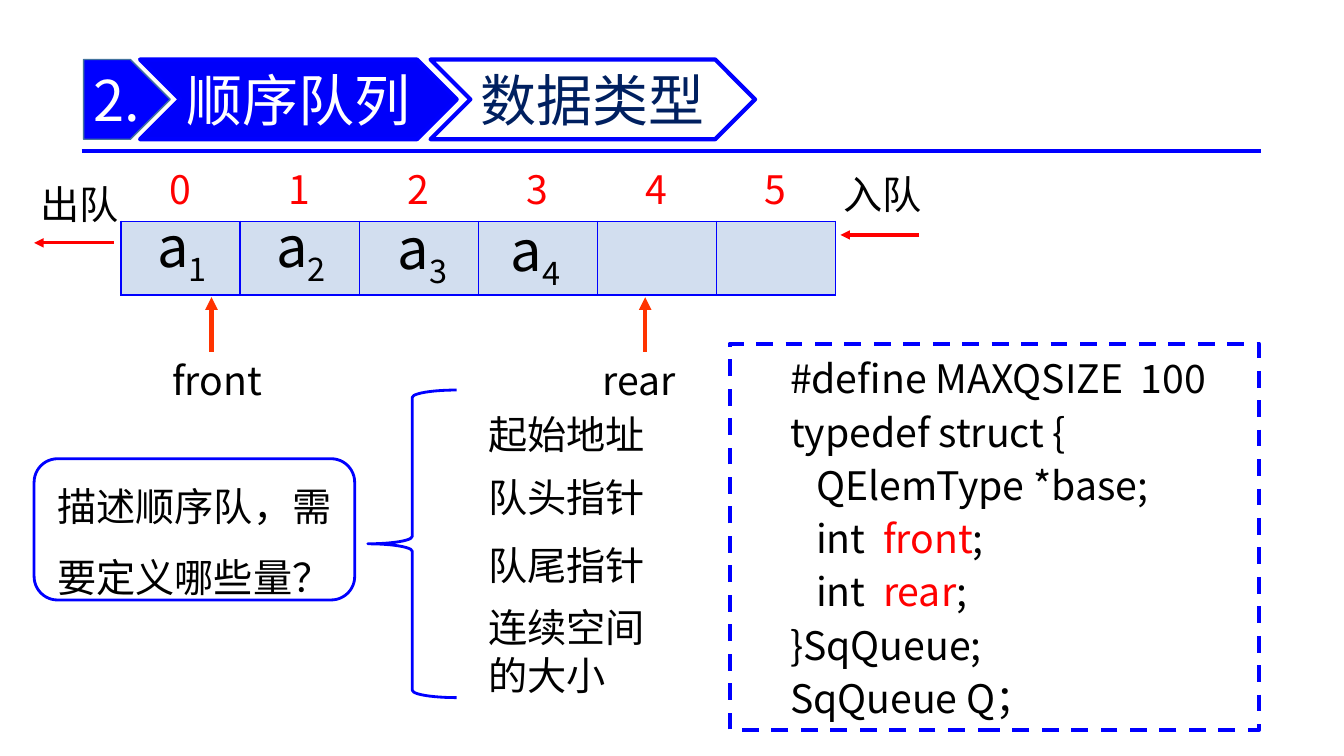
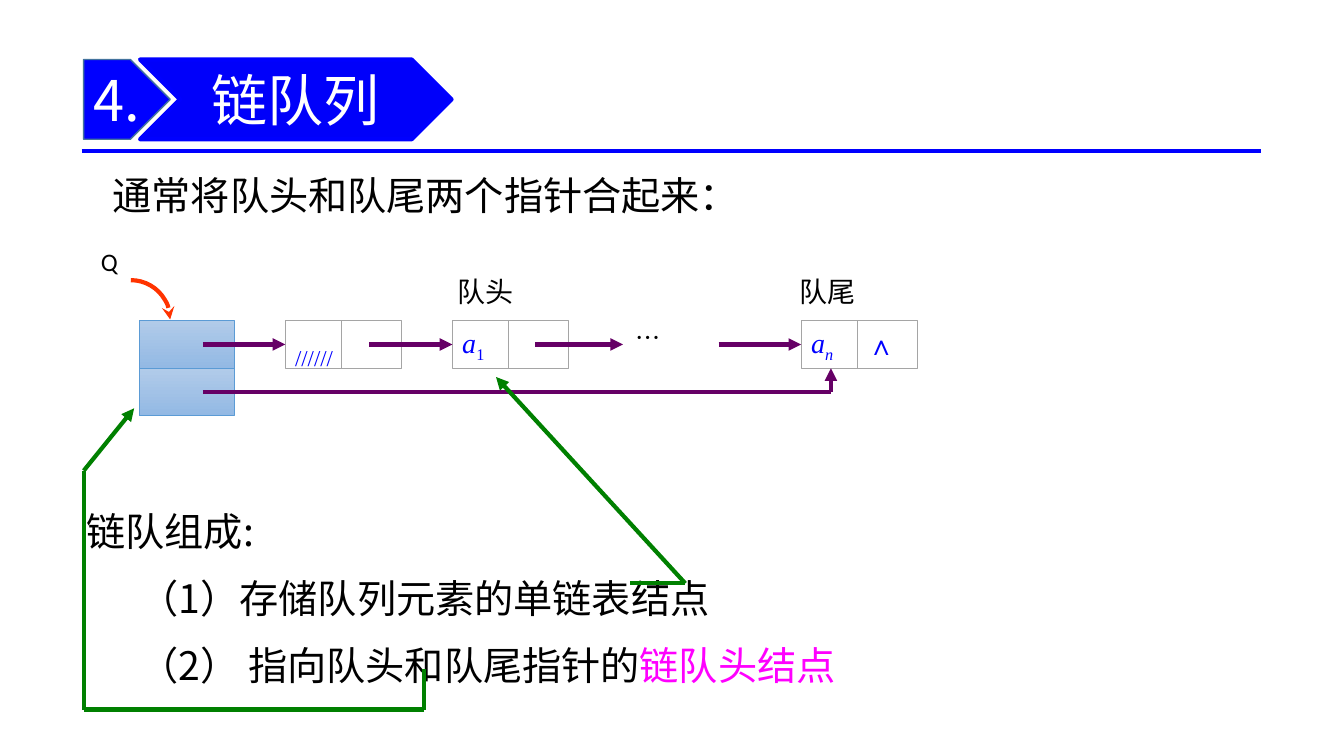
from lxml import etree
from pptx import Presentation
from pptx.dml.color import RGBColor
from pptx.enum.dml import MSO_LINE
from pptx.enum.shapes import MSO_CONNECTOR, MSO_SHAPE
from pptx.enum.text import MSO_ANCHOR, PP_ALIGN
from pptx.oxml.ns import qn
from pptx.util import Cm, Pt

BLACK = RGBColor(0x00, 0x00, 0x00)
WHITE = RGBColor(0xFF, 0xFF, 0xFF)
BLUE = RGBColor(0x00, 0x00, 0xFF)
DEEP = RGBColor(0x00, 0x00, 0xFA)
NAVY = RGBColor(0x00, 0x20, 0x60)
STEEL = RGBColor(0x43, 0x73, 0x9E)
PALE = RGBColor(0xD2, 0xDE, 0xEF)
SKY = RGBColor(0x5B, 0x9B, 0xD5)
LIGHT = RGBColor(0xB1, 0xCB, 0xE9)
MID = RGBColor(0x93, 0xB9, 0xE4)
GRAY = RGBColor(0xA5, 0xA5, 0xA5)
RED = RGBColor(0xFF, 0x00, 0x00)
ORANGE = RGBColor(0xFF, 0x33, 0x00)
PURPLE = RGBColor(0x66, 0x00, 0x66)
GREEN = RGBColor(0x00, 0x80, 0x00)
PINK = RGBColor(0xFF, 0x00, 0xFF)

NOTO, TIMES, CALIBRI = "Noto Sans CJK SC", "Times New Roman", "Calibri"

LEFT, CENTER = PP_ALIGN.LEFT, PP_ALIGN.CENTER
TOP, MIDDLE = MSO_ANCHOR.TOP, MSO_ANCHOR.MIDDLE
DASH = MSO_LINE.DASH
STRAIGHT = MSO_CONNECTOR.STRAIGHT
RECT, ROUND = MSO_SHAPE.RECTANGLE, MSO_SHAPE.ROUNDED_RECTANGLE
PLATE, CHEVRON = MSO_SHAPE.PENTAGON, MSO_SHAPE.CHEVRON
BRACE, ARC = MSO_SHAPE.LEFT_BRACE, MSO_SHAPE.ARC

SUB = -25000
NODE_Y, NODE_W, NODE_H = 8.08, 1.5, 1.2
NODE_MID = NODE_Y + NODE_H / 2


def style(run, size, color, font, base=0, italic=False):
    run.font.size = Pt(size)
    run.font.color.rgb = color
    run.font.name = font
    run.font.italic = italic
    props = run.font._element
    etree.SubElement(props, qn("a:ea"), typeface=font)
    if base:
        props.set("baseline", str(base))


def put(frame, *paras, size=28, color=BLACK, font=NOTO, align=LEFT,
        anchor=TOP, wrap=True, line=None, before=0, indents=()):
    """Fill a frame; a paragraph is a string or a list of strings and (string, format) pairs."""
    frame.word_wrap = wrap
    frame.vertical_anchor = anchor
    for i, runs in enumerate(paras):
        para = frame.add_paragraph() if i else frame.paragraphs[0]
        para.alignment = align
        para.space_before = Pt(before if i else 0)
        if line:
            para.line_spacing = line
        if indents:
            para._p.get_or_add_pPr().set("marL", str(Cm(indents[i])))
        for part in [runs] if isinstance(runs, str) else runs:
            words, extra = (part, {}) if isinstance(part, str) else part
            run = para.add_run()
            run.text = words
            style(run, **{"size": size, "color": color, "font": font, **extra})


def label(slide, x, y, w, h, *paras, **form):
    box = slide.shapes.add_textbox(Cm(x), Cm(y), Cm(w), Cm(h))
    put(box.text_frame, *paras, **form)


def shape(slide, kind, x, y, w, h, fill=None, line=BLUE, width=3):
    item = slide.shapes.add_shape(kind, Cm(x), Cm(y), Cm(w), Cm(h))
    item.shadow.inherit = False
    if fill is None:
        item.fill.background()
    else:
        item.fill.solid()
        item.fill.fore_color.rgb = fill
    item.line.color.rgb = line
    item.line.width = Pt(width)
    return item


def tip(item, kind="triangle"):
    """Put an arrowhead at the end of a line."""
    etree.SubElement(item.element.spPr.find(qn("a:ln")), qn("a:tailEnd"), type=kind)


def trail(slide, points, color, width=3, arrow=True, goal=None):
    """Draw straight lines through points; goal is the (shape, side) to join at the end."""
    for start, end in zip(points, points[1:]):
        link = slide.shapes.add_connector(STRAIGHT, *[Cm(v) for v in start + end])
        link.line.color.rgb = color
        link.line.width = Pt(width)
        etree.SubElement(link.element.spPr, qn("a:effectLst"))
    if arrow:
        tip(link)
    if goal:
        link.end_connect(*goal)


def header(slide, number, title, width, topic=None):
    trail(slide, [(2.06, 3.81), (31.78, 3.81)], BLUE, arrow=False)
    y, h = 1.5, 2.01
    plate = shape(slide, PLATE, 2.11, y, 2.18, h, BLUE, STEEL, 1)
    put(plate.text_frame, number, size=40, color=WHITE, anchor=MIDDLE, wrap=False)
    bands = [(3.53, width, DEEP, title, WHITE)]
    if topic:
        bands.append((10.85, 8.18, WHITE, topic, NAVY))
    for x, w, fill, words, color in bands:
        band = shape(slide, CHEVRON, x, y, w, h, fill)
        put(band.text_frame, words, size=40, color=color, align=CENTER,
            anchor=MIDDLE, wrap=False)


def border(cell, visible):
    """Draw the named sides (letters of LRTB) in blue and hide the others."""
    props = cell._tc.get_or_add_tcPr()
    for side in "LRTB":
        edge = etree.SubElement(props, qn("a:ln" + side), w=str(Pt(1)))
        if side in visible:
            fill = etree.SubElement(edge, qn("a:solidFill"))
            etree.SubElement(fill, qn("a:srgbClr"), val=str(BLUE))
        else:
            etree.SubElement(edge, qn("a:noFill"))


def array(slide, count):
    """Table of index numbers above empty storage cells."""
    col, rows = 3, (1.65, 1.86)
    table = slide.shapes.add_table(2, count, Cm(3.05), Cm(3.89),
                                   Cm(col * count), Cm(sum(rows))).table
    table.first_row = table.horz_banding = False
    for row, height in zip(table.rows, rows):
        row.height = Cm(height)
    for i in range(count):
        table.columns[i].width = Cm(col)
        index, store = table.cell(0, i), table.cell(1, i)
        border(index, "B")
        index.fill.background()
        index.vertical_anchor = MIDDLE
        put(index.text_frame, str(i), color=RED, align=CENTER)
        border(store, "LRTB")
        store.fill.solid()
        store.fill.fore_color.rgb = PALE


def node(slide, x, data, link=None, size=20):
    """Draw a list node of two fields and return the data field."""
    fields = []
    for left, words in ((x, data), (x + 1.42, link)):
        field = shape(slide, RECT, left, NODE_Y, NODE_W, NODE_H, WHITE, GRAY, 0.5)
        if words:
            put(field.text_frame, words, size=size, color=BLUE, font=TIMES,
                anchor=MIDDLE, wrap=False)
        fields.append(field)
    return fields[0]


def array_queue(slide):
    array(slide, 6)
    for words, x, y, start, end, level in (
            ("入队", 21, 4.17, 23.16, 21.18, 5.92),
            ("出队", 0.76, 4.42, 2.87, 0.86, 6.12)):
        trail(slide, [(start, level), (end, level)], RED, 2.25)
        label(slide, x, y, 2.74, 1.45, words)
    spots = ((3.71, 5.21), (6.71, 5.21), (9.78, 5.26), (12.62, 5.31))
    for i, (x, y) in enumerate(spots, 1):
        label(slide, x, y, 2.3, 1.96, ["a", (str(i), {"base": SUB})], size=40)
    for words, x, left in (("front", 5.33, 4.09), ("rear", 16.26, 14.94)):
        trail(slide, [(x, 8.86), (x, 7.49)], ORANGE)
        label(slide, left, 8.86, 3.35, 1.45, words)

    ask = shape(slide, ROUND, 0.86, 11.56, 8.08, 3.56, WHITE, width=2)
    put(ask.text_frame, "描述顺序队，需要定义哪些量？", align=CENTER,
        anchor=MIDDLE, line=1.5)
    shape(slide, BRACE, 9.27, 9.83, 2.24, 7.75, width=2)
    for words, y, h in (("起始地址", 10.21, 1.45), ("队头指针", 11.81, 1.45),
                        ("队尾指针", 13.51, 1.45), ("连续空间的大小", 15.09, 2.64)):
        label(slide, 12.05, y, 5.4, h, words)

    code = shape(slide, RECT, 18.39, 8.66, 13.34, 9.73, WHITE)
    code.line.dash_style = DASH
    outer, inner = 1.27, 1.93
    put(code.text_frame,
        "#define MAXQSIZE  100",
        "typedef struct {",
        "QElemType *base;",
        ["int  ", ("front", {"color": RED}), ";"],
        ["int  ", ("rear", {"color": RED}), ";"],
        "}SqQueue;",
        "SqQueue Q；",
        line=Pt(38), indents=[outer] * 2 + [inner] * 3 + [outer] * 2)


def linked_queue(slide):
    label(slide, 2.59, 4.19, 17.7, 1.45, "通常将队头和队尾两个指针合起来：")
    for y in (NODE_Y, NODE_Y + NODE_H):
        box = shape(slide, RECT, 3.51, y, 2.39, NODE_H, LIGHT, SKY, 0.5)
        box.fill.gradient()
        box.fill.gradient_angle = 270
        for stop, color in zip(box.fill.gradient_stops, (LIGHT, MID)):
            stop.color.rgb = color

    italic = {"italic": True}
    head = node(slide, 7.19, [("//////", {"base": SUB})], size=28)
    first = node(slide, 11.4, [("a", italic), ("1", {"base": SUB})])
    last = node(slide, 20.19, [("a", italic), ("n", {"base": SUB, **italic})], "∧")
    for start, end, goal in ((5.11, 7.19, (head, 1)), (9.3, 11.4, (first, 1)),
                             (13.49, 15.7, None), (18.11, 20.19, (last, 1))):
        trail(slide, [(start, NODE_MID), (end, NODE_MID)], PURPLE, goal=goal)
    rear_x, rear_y = 20.19 + NODE_W / 2, NODE_MID + NODE_H
    trail(slide, [(5.11, rear_y), (rear_x, rear_y), (rear_x, NODE_Y + NODE_H)],
          PURPLE, goal=(last, 2))

    tip(shape(slide, ARC, 2.31, 7.06, 1.98, 1.98, line=ORANGE), "stealth")
    label(slide, 2.29, 6.07, 1.19, 1.27, "Q", size=18, font=CALIBRI)
    label(slide, 15.77, 8, 2.41, 1.27, "…", size=18)
    for words, x in (("队头", 11.28), ("队尾", 19.91)):
        label(slide, x, 6.78, 2.79, 1.12, words, size=20)

    label(slide, 1.5, 12.67, 22.2, 5.05,
          "链队组成:",
          "（1）存储队列元素的单链表结点",
          ["（2） 指向队头和队尾指针的", ("链队头结点", {"color": PINK})],
          before=14, indents=(0.43, 1.77, 1.77))
    trail(slide, [(15.88, 14.7), (17.27, 14.7), (12.5, 9.5)], GREEN)
    trail(slide, [(10.69, 16.87), (10.69, 17.88), (2.11, 17.88),
                  (2.11, 11.86), (3.38, 10.29)], GREEN)


def main():
    prs = Presentation()
    prs.slide_width, prs.slide_height = Cm(33.87), Cm(19.05)
    blank = prs.slide_layouts[6]
    for build, heading in ((array_queue, ("2.", "顺序队列", 7.98, "数据类型")),
                           (linked_queue, ("4.", "链队列", 7.85))):
        slide = prs.slides.add_slide(blank)
        header(slide, *heading)
        build(slide)
    prs.save("out.pptx")


if __name__ == "__main__":
    main()
